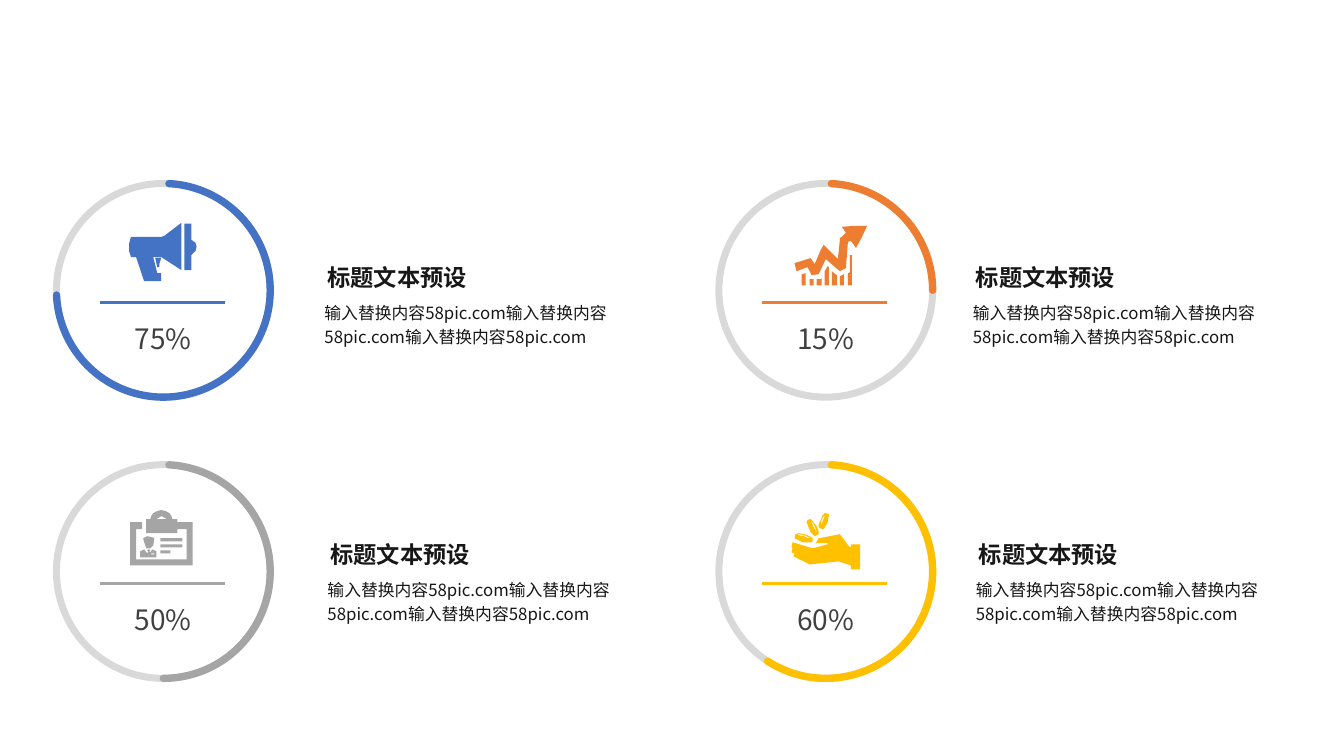
from lxml.etree import SubElement
from pptx import Presentation
from pptx.dml.color import RGBColor
from pptx.enum.shapes import MSO_CONNECTOR, MSO_SHAPE
from pptx.enum.text import PP_ALIGN
from pptx.oxml.ns import qn
from pptx.util import Inches, Pt

OVAL, ARC = MSO_SHAPE.OVAL, MSO_SHAPE.ARC
STRAIGHT = MSO_CONNECTOR.STRAIGHT
LEFT, CENTER = PP_ALIGN.LEFT, PP_ALIGN.CENTER

WHITE = RGBColor(0xFF, 0xFF, 0xFF)
TRACK = RGBColor(0xD9, 0xD9, 0xD9)
INK = RGBColor(0x18, 0x17, 0x17)
GRAY = RGBColor(0x40, 0x40, 0x40)
BLUE = RGBColor(0x44, 0x72, 0xC4)
ORANGE = RGBColor(0xED, 0x7D, 0x31)
SILVER = RGBColor(0xA5, 0xA5, 0xA5)
GOLD = RGBColor(0xFF, 0xC0, 0x00)

FONT = "Noto Sans CJK SC"
UNIT = Inches(0.01)
RING = 212
TITLE = "标题文本预设"
BODY = "输入替换内容58pic.com" * 3

HORN = (
    "74,53 104,53 107,52 124,39 124,86 107,75 104,73 96,73 100,89 104,89 "
    "104,97 87,97 79,73 74,73 72,67 72,60",
    "134,56 138,59 139,63 138,67 134,71 134,86 127,86 127,40 134,40",
    "104,74 98,74 100,83 102,83 102,80",
)
GROWTH = (
    "128,101 132,101 132,71 130,71 130,88 128,89",
    "147,42 142,53 136,64 131,57 128,58 126,84 120,87 106,75 99,90 92,91 "
    "88,83 77,87 75,79 88,75 91,74 95,80 101,66 104,61 108,65 118,75 "
    "120,56 120,54 122,53 126,49 122,43 135,42",
    "90,101 94,101 94,95 90,95",
    "82,101 86,101 86,89 82,90",
    "97,101 102,101 102,94 101,95 97,95",
    "105,101 109,101 109,83 108,82 105,87",
    "112,101 117,101 117,91 112,87",
    "120,101 124,101 124,90 120,92",
)
BADGE = (
    "77,57 85,57 85,64 79,64 79,94 129,94 129,64 120,64 120,68 89,68 "
    "89,54 93,54 94,51 96,48 100,46 104,45 108,46 112,48 114,51 115,54 "
    "120,54 120,57 135,57 135,100 73,100 73,57",
    "83,86 83,92 99,92 99,86 95,84 93,87 92,86 93,85 92,84 91,84 90,85 "
    "91,86 90,88 87,84",
    "97,73 95,72 90,71 86,73 87,77 89,83 93,83 96,80",
    "94,88 94,89 97,89 97,88",
    "103,79 103,82 125,82 125,79",
    "103,85 103,88 113,88 113,85",
    "103,73 103,76 125,76 125,73",
    "99,54 109,54 108,53 104,51 101,53",
)
HAND = (
    "89,72 85,70 79,69 78,69 79,70 84,71 89,73 91,73",
    "131,82 131,79 140,79 140,104 131,104 131,100 119,96 90,99 74,91 "
    "75,88 72,87 73,83 72,82 73,77 93,83 108,79 108,78 96,78 99,73 "
    "120,69 129,81",
    "85,69 90,71 93,73 93,75 92,77 91,77 83,77 75,73 76,69 79,68",
    "97,66 95,61 93,57 91,56 92,57 94,62 97,67 98,67",
    "97,61 99,66 99,69 95,71 91,67 87,57 87,56 90,54 91,54 93,56",
    "104,51 102,55 101,60 101,61 103,56 105,51 105,50",
    "101,55 99,59 99,62 100,63 103,64 104,64 108,57 109,50 109,49 "
    "105,48 103,50",
)


class Board:
    def __init__(self, deck):
        self.slide = deck.slides.add_slide(deck.slide_layouts[6])
        self.shapes = self.slide.shapes

    def round(self, kind, x, y, color, width):
        shape = self.shapes.add_shape(
            kind, x * UNIT, y * UNIT, RING * UNIT, RING * UNIT)
        shape.shadow.inherit = False
        shape.line.color.rgb = color
        shape.line.width = Pt(width)
        return shape

    def track(self, x, y):
        shape = self.round(OVAL, x, y, TRACK, 5)
        shape.fill.solid()
        shape.fill.fore_color.rgb = WHITE

    def arc(self, x, y, end, color):
        shape = self.round(ARC, x, y, color, 5.25)
        shape.fill.background()
        shape.adjustments[0] = 273 * 0.6
        shape.adjustments[1] = end * 0.6
        shape._element.spPr.find(qn("a:ln")).set("cap", "rnd")

    def rule(self, x, y, width, color):
        line = self.shapes.add_connector(
            STRAIGHT, x * UNIT, y * UNIT, (x + width) * UNIT, y * UNIT)
        line.line.color.rgb = color
        line.line.width = Pt(1.75)
        SubElement(line._element.spPr, qn("a:effectLst"))

    def icon(self, x, y, paths, color):
        loops = [[tuple(map(int, spot.split(","))) for spot in path.split()]
                 for path in paths]
        pen = self.shapes.build_freeform(*loops[0][0], scale=UNIT)
        for loop in loops:
            if loop is not loops[0]:
                pen.move_to(*loop[0])
            pen.add_line_segments(loop[1:], close=True)
        shape = pen.convert_to_shape(x * UNIT, y * UNIT)
        shape.shadow.inherit = False
        shape.fill.solid()
        shape.fill.fore_color.rgb = color
        shape.line.fill.background()

    def text(self, x, y, width, height, words, size, color,
             align=LEFT, bold=False, wrap=True, space=1.0):
        box = self.shapes.add_textbox(
            x * UNIT, y * UNIT, width * UNIT, height * UNIT)
        box.text_frame.word_wrap = wrap
        para = box.text_frame.paragraphs[0]
        para.text = words
        para.alignment = align
        para.line_spacing = space
        font = para.font
        font.name, font.size, font.bold = FONT, Pt(size), bold
        font.color.rgb = color
        SubElement(para._p.pPr.find(qn("a:defRPr")), qn("a:ea"), typeface=FONT)

    def gauge(self, x, y, share, end, color, paths):
        self.track(x, y)
        self.arc(x, y, end, color)
        self.text(x + 51, y + 132, 110, 44, share, 20, GRAY, align=CENTER)
        self.rule(x + 43, y + 118, 124, color)
        self.icon(x, y, paths, color)

    def note(self, x, y):
        self.text(x, y, 337, 54, BODY, 12, INK, space=1.2)
        self.text(x + 3, y - 35, 211, 34, TITLE, 16.6, INK,
                  bold=True, wrap=False)


def main():
    deck = Presentation()
    deck.slide_width, deck.slide_height = Inches(13.33), Inches(7.5)
    board = Board(deck)
    gauges = (
        ("75%", 177.5, BLUE, HORN),
        ("15%", 0, ORANGE, GROWTH),
        ("50%", 90, SILVER, BADGE),
        ("60%", 123, GOLD, HAND),
    )
    for place, (share, end, color, paths) in enumerate(gauges):
        row, col = divmod(place, 2)
        board.gauge(56 + 657 * col, 182 + 279 * row, share, end, color, paths)
        board.note(312 + 643 * col + 3 * row, 291 + 275 * row)
    deck.save("out.pptx")


if __name__ == "__main__":
    main()
